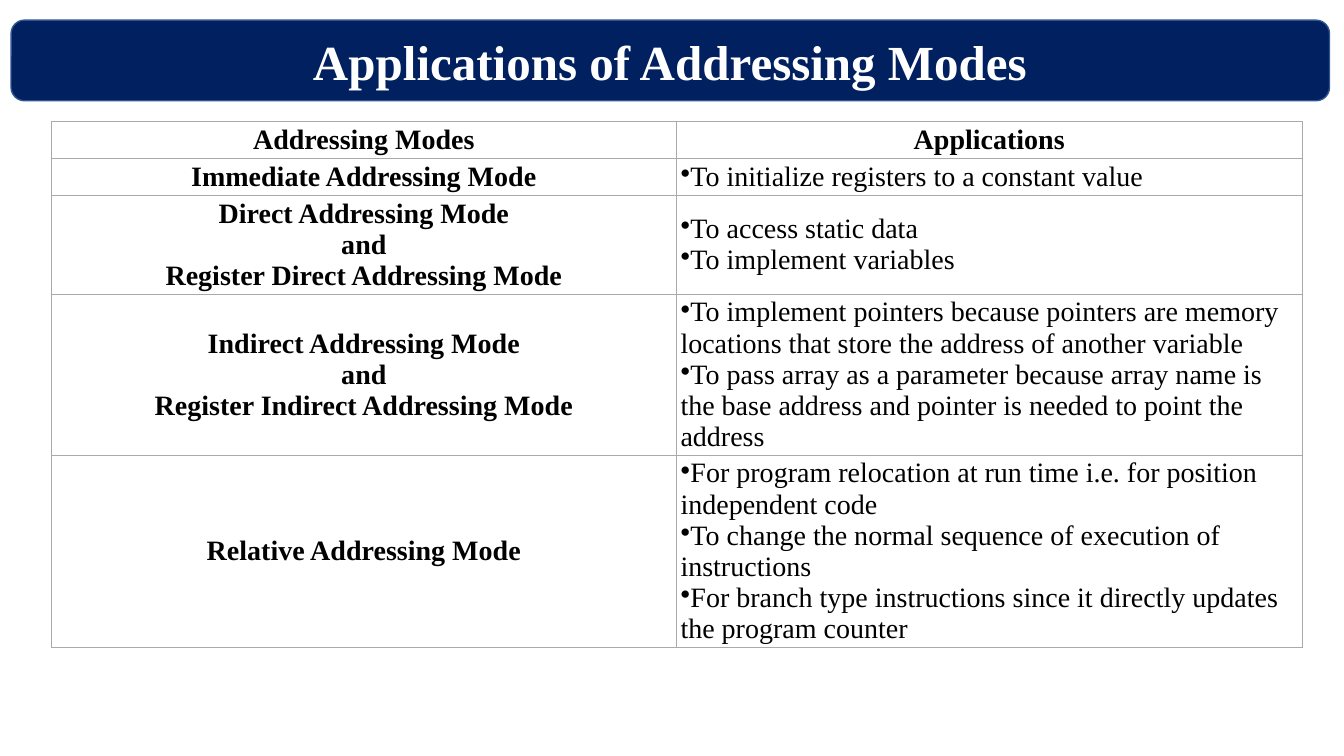
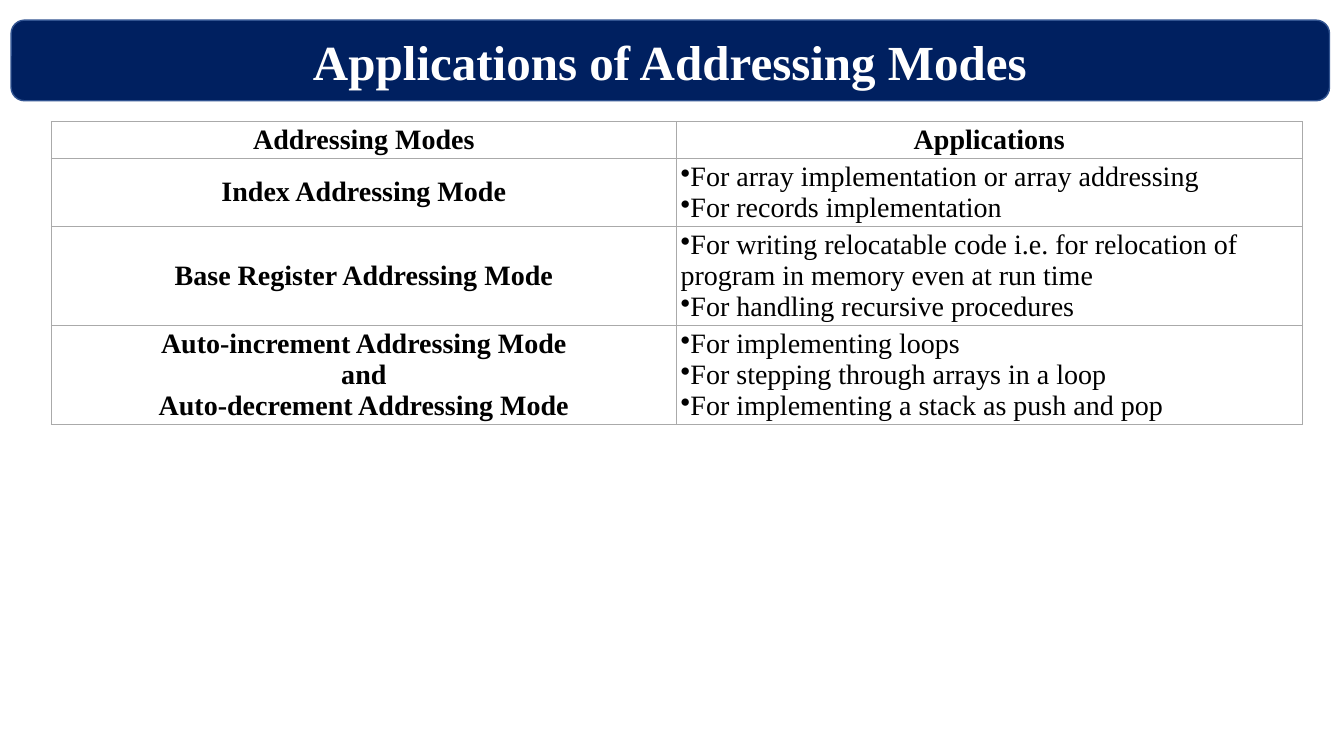
"""Builds two slides on the applications of addressing modes."""
from lxml import etree
from pptx import Presentation
from pptx.dml import color
from pptx.enum import shapes, text
from pptx.oxml import ns
from pptx.util import Pt

MID = text.MSO_ANCHOR.MIDDLE
MODES = "Addressing Modes"
HEAD = ([MODES], ["Applications"])


def tint(code):
    return color.RGBColor.from_string(code)


def assign(item, form):
    for key, value in form.items():
        setattr(item, key, value)


def child(node, tag, **marks):
    return etree.SubElement(node, ns.qn(tag), **marks)


class Deck:
    """Holds the shared style and the current slide."""

    font = "Times New Roman"
    navy, rim, grid, white, black = "002060", "325491", "AAAAAA", "FFFFFF", "000000"
    inset = dict(margin_left=Pt(3), margin_right=Pt(3), margin_top=Pt(2),
                 margin_bottom=Pt(2), vertical_anchor=MID)
    widths = (446.4, 447.12)

    def __init__(self):
        self.show = Presentation()
        assign(self.show, dict(slide_width=Pt(960), slide_height=Pt(540)))

    def page(self, title):
        self.slide = self.show.slides.add_slide(self.show.slide_layouts[6])
        self.banner(title)

    def label(self, frame, lines, size, ink, bold=True, dots=False):
        for spot, line in enumerate(lines):
            para = frame.add_paragraph() if spot else frame.paragraphs[0]
            para.alignment = text.PP_ALIGN.LEFT if dots else text.PP_ALIGN.CENTER
            run = para.add_run()
            run.text = line
            assign(run.font, dict(name=self.font, size=Pt(size), bold=bold))
            run.font.color.rgb = tint(ink)
            if dots:
                props = para._p.get_or_add_pPr()
                props.set("marL", "0")
                props.set("indent", "0")
                child(props, "a:buChar", char="•")

    def banner(self, title):
        kind = shapes.MSO_SHAPE.ROUNDED_RECTANGLE
        box = self.slide.shapes.add_shape(kind, Pt(7.92), Pt(14.4), Pt(941.76), Pt(57.6))
        box.shadow.inherit = False
        box.fill.solid()
        box.fill.fore_color.rgb = tint(self.navy)
        box.line.color.rgb = tint(self.rim)
        box.line.width = Pt(1)
        assign(box.text_frame, dict(word_wrap=True, vertical_anchor=MID))
        self.label(box.text_frame, [title], 35, self.white)

    def border(self, cell):
        props = cell._tc.get_or_add_tcPr()
        for spot, side in enumerate("LRTB"):
            line = child(props, "a:ln" + side, w=str(Pt(0.75)))
            child(child(line, "a:solidFill"), "a:srgbClr", val=self.grid)
            props.insert(spot, line)

    def table(self, high, tall, rows):
        rows = [HEAD] + rows
        frame = self.slide.shapes.add_table(len(rows), 2, Pt(36.72), Pt(87.12),
                                            Pt(sum(self.widths)), Pt(high))
        table = frame.table
        assign(table, dict(first_row=False, horz_banding=False))
        for col, wide in zip(table.columns, self.widths):
            col.width = Pt(wide)
        for r, row in enumerate(rows):
            table.rows[r].height = Pt(tall[r])
            for c, lines in enumerate(row):
                cell = table.cell(r, c)
                assign(cell, self.inset)
                cell.fill.solid()
                cell.fill.fore_color.rgb = tint(self.white)
                self.border(cell)
                dots = r > 0 and c == 1
                self.label(cell.text_frame, lines, 20, self.black, not dots, dots)
        frame.height = Pt(high)


def pair(first, second):
    return [first + " Addressing Mode", "and", second + " Addressing Mode"]


TITLE = "Applications of " + MODES
deck = Deck()
deck.page(TITLE)
deck.table(406.8, (14.4, 25.92, 49.68, 96.48, 108.72), [
    (["Immediate Addressing Mode"], ["To initialize registers to a constant value"]),
    (pair("Direct", "Register Direct"),
     ["To access static data", "To implement variables"]),
    (pair("Indirect", "Register Indirect"),
     ["To implement pointers because pointers are memory locations that store "
      "the address of another variable",
      "To pass array as a parameter because array name is the base address and "
      "pointer is needed to point the address"]),
    (["Relative Addressing Mode"],
     ["For program relocation at run time i.e. for position independent code",
      "To change the normal sequence of execution of instructions",
      "For branch type instructions since it directly updates the program counter"]),
])
deck.page(TITLE)
deck.table(234.72, (14.4, 37.44, 61.2, 61.2), [
    (["Index Addressing Mode"],
     ["For array implementation or array addressing", "For records implementation"]),
    (["Base Register Addressing Mode"],
     ["For writing relocatable code i.e. for relocation of program in memory "
      "even at run time",
      "For handling recursive procedures"]),
    (pair("Auto-increment", "Auto-decrement"),
     ["For implementing loops", "For stepping through arrays in a loop",
      "For implementing a stack as push and pop"]),
])
deck.show.save("out.pptx")
